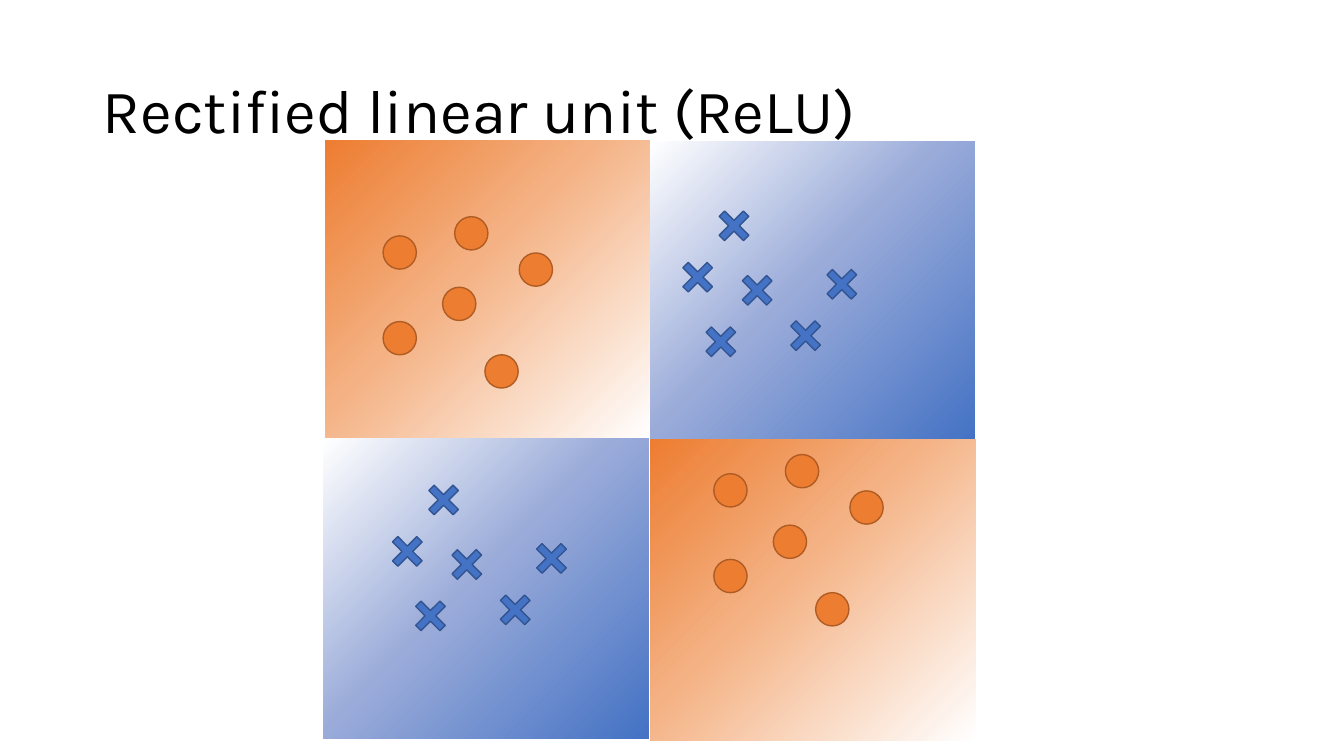
"""Build the ReLU slide: four gradient quadrants holding two classes of points."""
import pptx
import pptx.dml.color
import pptx.enum.shapes
import pptx.enum.text
import pptx.oxml
import pptx.oxml.ns
import pptx.util

Inches = pptx.util.Inches
RGB = pptx.dml.color.RGBColor.from_string
SHAPE = pptx.enum.shapes.MSO_SHAPE

THEME = {
    "title": {"name": "Karla", "size": pptx.util.Pt(44), "bold": False},
    "title_color": "000000",
    "line": pptx.util.Pt(1),
    "orange": {"fill": "ED7D31", "line": "AF5C24", "focus": 'r="100000" b="100000"',
               "stops": [(0, "ED7D31"), (43, "F4B183"), (100, "FFFFFF")]},
    "blue": {"fill": "4472C4", "line": "325491", "focus": 'l="100000" t="100000"',
             "stops": [(0, "4472C4"), (53, "9AABD9"), (100, "FFFFFF")]},
}


def add_shape(kind, *box):
    """Add a shape without shadow at a box given in inches."""
    sp = slide.shapes.add_shape(kind, *map(Inches, box))
    sp.shadow.inherit = False
    return sp


def set_gradient(sp, tone):
    """Fill a shape with a gradient that starts in one corner."""
    sp.fill.gradient()
    old = sp.element.spPr.find(pptx.oxml.ns.qn("a:gradFill"))
    stops = "".join(f'<a:gs pos="{pos * 1000}"><a:srgbClr val="{color}"/></a:gs>'
                    for pos, color in tone["stops"])
    new = pptx.oxml.parse_xml(
        f'<a:gradFill {pptx.oxml.ns.nsdecls("a")}><a:gsLst>{stops}</a:gsLst>'
        f'<a:path path="circle"><a:fillToRect {tone["focus"]}/></a:path></a:gradFill>')
    old.getparent().replace(old, new)


prs = pptx.Presentation()
prs.slide_width, prs.slide_height = Inches(13.33), Inches(7.5)
slide = prs.slides.add_slide(prs.slide_layouts[5])

quadrants = [
    ("orange", 3.23, 1.39, 3.21, 2.98),
    ("blue", 3.21, 4.35, 3.22, 2.98),
    ("blue", 6.45, 1.4, 3.22, 2.98),
    ("orange", 6.45, 4.36, 3.23, 2.99),
]
for tone, *box in quadrants:
    sp = add_shape(SHAPE.RECTANGLE, *box)
    set_gradient(sp, THEME[tone])
    sp.line.fill.background()

title = slide.shapes.title
slide.shapes.element.append(title.element)
title.left, title.top, title.width, title.height = map(Inches, (0.92, 0.4, 11.5, 1.45))
tf = title.text_frame
tf.word_wrap = True
tf.auto_size = pptx.enum.text.MSO_AUTO_SIZE.NONE
tf.vertical_anchor = pptx.enum.text.MSO_ANCHOR.MIDDLE
p = tf.paragraphs[0]
p.alignment = pptx.enum.text.PP_ALIGN.LEFT
p.line_spacing = 0.9
r = p.add_run()
r.text = "Rectified linear unit (ReLU)"
for key, value in THEME["title"].items():
    setattr(r.font, key, value)
r.font.color.rgb = RGB(THEME["title_color"])

circles = [(0.71, 0), (1.35, 0.36), (0.59, 0.7), (0, 0.19), (1.01, 1.37), (0, 1.04)]
crosses = [(0, 0.51), (0.36, 0), (0.23, 1.15), (0.59, 0.64), (1.07, 1.09), (1.43, 0.58)]
clusters = [
    ("orange", SHAPE.OVAL, 0.33, circles, [(7.08, 4.51), (3.8, 2.15)]),
    ("blue", SHAPE.CROSS, 0.34, crosses, [(6.75, 2.07), (3.87, 4.79)]),
]
for tone, kind, size, offsets, origins in clusters:
    for x, y in origins:
        for dx, dy in offsets:
            sp = add_shape(kind, x + dx, y + dy, size, size)
            sp.fill.solid()
            sp.fill.fore_color.rgb = RGB(THEME[tone]["fill"])
            sp.line.color.rgb = RGB(THEME[tone]["line"])
            sp.line.width = THEME["line"]
            if kind == SHAPE.CROSS:
                sp.rotation = 315
                sp.adjustments[0] = 0.39

prs.save("out.pptx")
